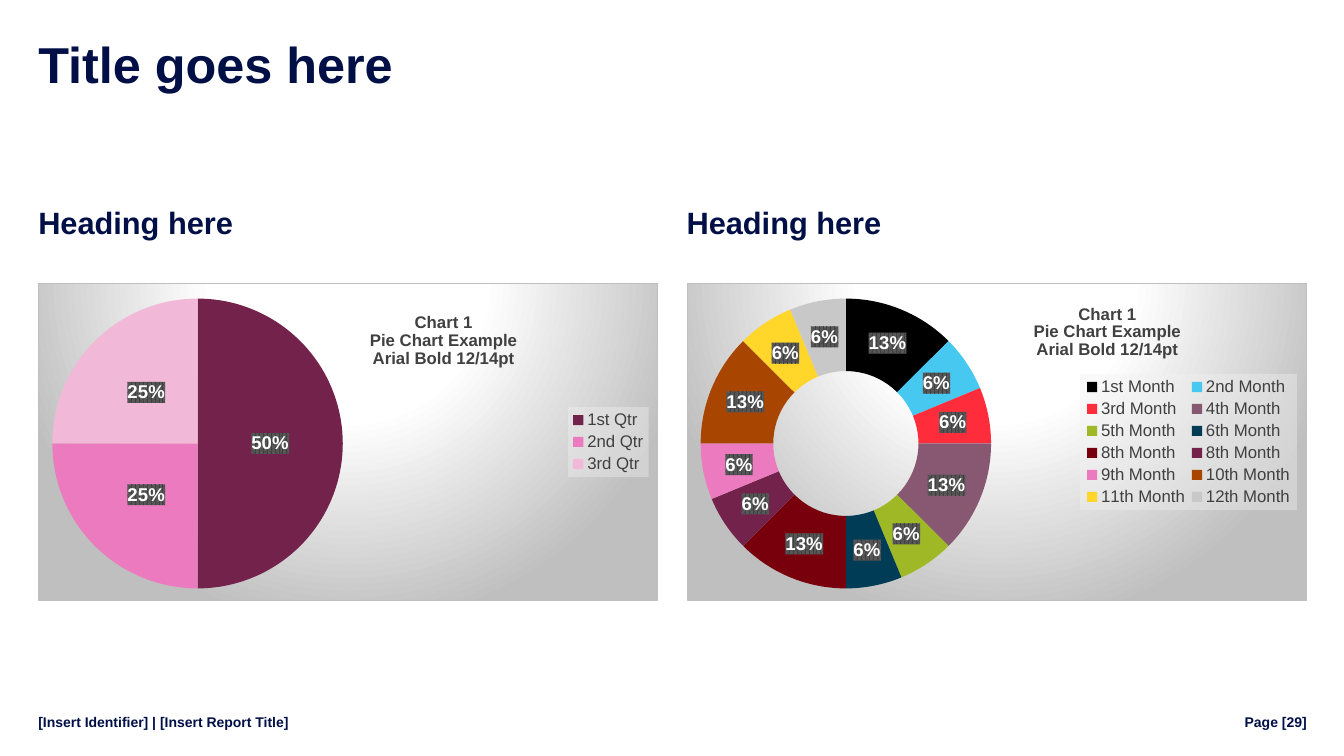
"""Build a slide comparing a pie chart and a doughnut chart."""
import pptx
import pptx.chart.data
import pptx.dml.color
import pptx.enum.chart
import pptx.enum.text
import pptx.oxml
import pptx.oxml.ns
import pptx.util
from pptx.util import Inches

NAVY = pptx.dml.color.RGBColor(0x00, 0x0F, 0x46)
BLACK = pptx.dml.color.RGBColor(0x00, 0x00, 0x00)
GREY = pptx.dml.color.RGBColor(0x40, 0x40, 0x40)
WHITE = pptx.dml.color.RGBColor(0xFF, 0xFF, 0xFF)

SHAPE_PROPERTIES = f'<c:spPr {pptx.oxml.ns.nsdecls("c", "a")}>%s</c:spPr>'
CHART_BACKGROUND = SHAPE_PROPERTIES % (
    '<a:gradFill><a:gsLst>'
    '<a:gs pos="0"><a:srgbClr val="FFFFFF"/></a:gs>'
    '<a:gs pos="39000"><a:srgbClr val="FFFFFF"/></a:gs>'
    '<a:gs pos="100000"><a:srgbClr val="BFBFBF"/></a:gs></a:gsLst>'
    '<a:path path="circle"><a:fillToRect l="50000" t="-80000" r="50000" b="180000"/></a:path>'
    '</a:gradFill>'
    '<a:ln w="9525"><a:solidFill><a:srgbClr val="BFBFBF"/></a:solidFill></a:ln>')
LEGEND_BACKGROUND = SHAPE_PROPERTIES % (
    '<a:solidFill><a:srgbClr val="F2F2F2"><a:alpha val="39000"/></a:srgbClr></a:solidFill>')
LABEL_BACKGROUND = SHAPE_PROPERTIES % (
    '<a:pattFill prst="pct75"><a:fgClr><a:srgbClr val="404040"/></a:fgClr>'
    '<a:bgClr><a:srgbClr val="595959"/></a:bgClr></a:pattFill>')

presentation = pptx.Presentation()
presentation.slide_width = Inches(13.33)
presentation.slide_height = Inches(7.5)
slide = presentation.slides.add_slide(presentation.slide_layouts[6])


def add_text(text, left, top, width, height, size, spacing,
             anchor=pptx.enum.text.MSO_ANCHOR.TOP, align=pptx.enum.text.PP_ALIGN.LEFT):
    box = slide.shapes.add_textbox(Inches(left), Inches(top), Inches(width), Inches(height))
    frame = box.text_frame
    frame.word_wrap = True
    frame.vertical_anchor = anchor
    frame.margin_left = frame.margin_right = frame.margin_top = frame.margin_bottom = 0
    paragraph = frame.paragraphs[0]
    paragraph.alignment = align
    paragraph.line_spacing = pptx.util.Pt(spacing)
    run = paragraph.add_run()
    run.text = text
    run.font.name = "Arial"
    run.font.size = pptx.util.Pt(size)
    run.font.bold = True
    run.font.color.rgb = NAVY


def place_part(part, index, inner=False, **fractions):
    for old_layout in part.findall(pptx.oxml.ns.qn("c:layout")):
        part.remove(old_layout)
    target = '<c:layoutTarget val="inner"/>' if inner else ""
    modes = '<c:xMode val="edge"/><c:yMode val="edge"/>'
    sizes = "".join(f'<c:{key} val="{value}"/>' for key, value in fractions.items())
    part.insert(index, pptx.oxml.parse_xml(
        f'<c:layout {pptx.oxml.ns.nsdecls("c")}><c:manualLayout>'
        f'{target}{modes}{sizes}</c:manualLayout></c:layout>'))


add_text("Title goes here", 0.38, 0.37, 10.6, 0.58, 36, 40)

quarters = {
    "left": 0.38,
    "kind": pptx.enum.chart.XL_CHART_TYPE.PIE,
    "categories": ["1st Qtr", "2nd Qtr", "3rd Qtr"],
    "values": [50, 25, 25],
    "colours": ["73234B", "EB7BBE", "F2B8D8"],
    "title": {"x": 0.53, "y": 0.08},
    "legend": {"x": 0.855, "y": 0.39, "w": 0.13, "h": 0.22},
}
months = {
    "left": 6.81,
    "kind": pptx.enum.chart.XL_CHART_TYPE.DOUGHNUT,
    "categories": ["1st Month", "2nd Month", "3rd Month", "4th Month", "5th Month", "6th Month",
                   "8th Month", "8th Month", "9th Month", "10th Month", "11th Month", "12th Month"],
    "values": [12, 6, 6] * 4,
    "colours": ["000000", "46C8F0", "FF2D3C", "885771", "9FB825", "003C55",
                "78000D", "73234B", "EB7BBE", "A84500", "FFD629", "C8C8C8"],
    "title": {"x": 0.555, "y": 0.053},
    "legend": {"x": 0.635, "y": 0.285, "w": 0.35, "h": 0.43},
}

for panel in (quarters, months):
    add_text("Heading here", panel["left"], 2.05, 6.15, 0.42, 22, 24)

    chart_data = pptx.chart.data.CategoryChartData()
    chart_data.categories = panel["categories"]
    chart_data.add_series("Series 1", panel["values"])
    chart = slide.shapes.add_chart(
        panel["kind"], Inches(panel["left"]), Inches(2.81), Inches(6.15), Inches(3.15),
        chart_data).chart
    chart.font.name = "Arial"
    chart.font.size = pptx.util.Pt(10)
    chart.font.color.rgb = BLACK
    chart_space = chart.element
    chart_space.find(pptx.oxml.ns.qn("c:chart")).addnext(pptx.oxml.parse_xml(CHART_BACKGROUND))
    plot_area = chart_space.find(".//" + pptx.oxml.ns.qn("c:plotArea"))
    place_part(plot_area, 0, inner=True, x=0.012, y=0.047, w=0.489, h=0.916)

    chart.has_title = True
    title_frame = chart.chart_title.text_frame
    for number, line in enumerate(["Chart 1", "Pie Chart Example", "Arial Bold 12/14pt"]):
        paragraph = title_frame.add_paragraph() if number else title_frame.paragraphs[0]
        run = paragraph.add_run()
        run.text = line
        run.font.name = "Arial"
        run.font.size = pptx.util.Pt(12)
        run.font.bold = True
        run.font.color.rgb = GREY
    place_part(chart_space.find(".//" + pptx.oxml.ns.qn("c:title")), 1, **panel["title"])

    chart.has_legend = True
    legend = chart.legend
    legend.position = pptx.enum.chart.XL_LEGEND_POSITION.RIGHT
    legend.include_in_layout = False
    legend.font.name = "Arial"
    legend.font.size = pptx.util.Pt(12)
    legend.font.color.rgb = GREY
    legend_part = chart_space.find(".//" + pptx.oxml.ns.qn("c:legend"))
    place_part(legend_part, 1, **panel["legend"])
    legend_part.find(pptx.oxml.ns.qn("c:txPr")).addprevious(
        pptx.oxml.parse_xml(LEGEND_BACKGROUND))

    plot = chart.plots[0]
    plot.vary_by_categories = True
    slices = plot.series[0]
    for number, colour in enumerate(panel["colours"]):
        slice_format = slices.points[number].format
        slice_format.fill.solid()
        slice_format.fill.fore_color.rgb = pptx.dml.color.RGBColor.from_string(colour)
        slice_format.line.fill.background()

    labels = slices.data_labels
    labels.show_percentage = True
    labels.show_value = False
    labels.number_format = "0%"
    labels.number_format_is_linked = False
    labels.font.name = "Arial"
    labels.font.size = pptx.util.Pt(13.3)
    labels.font.bold = True
    labels.font.color.rgb = WHITE
    if panel is quarters:
        labels.position = pptx.enum.chart.XL_LABEL_POSITION.CENTER
    label_part = chart_space.find(".//" + pptx.oxml.ns.qn("c:ser")).find(
        pptx.oxml.ns.qn("c:dLbls"))
    label_part.find(pptx.oxml.ns.qn("c:txPr")).addprevious(
        pptx.oxml.parse_xml(LABEL_BACKGROUND))

middle = pptx.enum.text.MSO_ANCHOR.MIDDLE
add_text("[Insert Identifier] | [Insert Report Title]", 0.38, 7.04, 4.5, 0.24, 10, 12, middle)
add_text("Page [29]", 11.23, 7.04, 1.73, 0.24, 10, 12, middle, pptx.enum.text.PP_ALIGN.RIGHT)

presentation.save("out.pptx")
